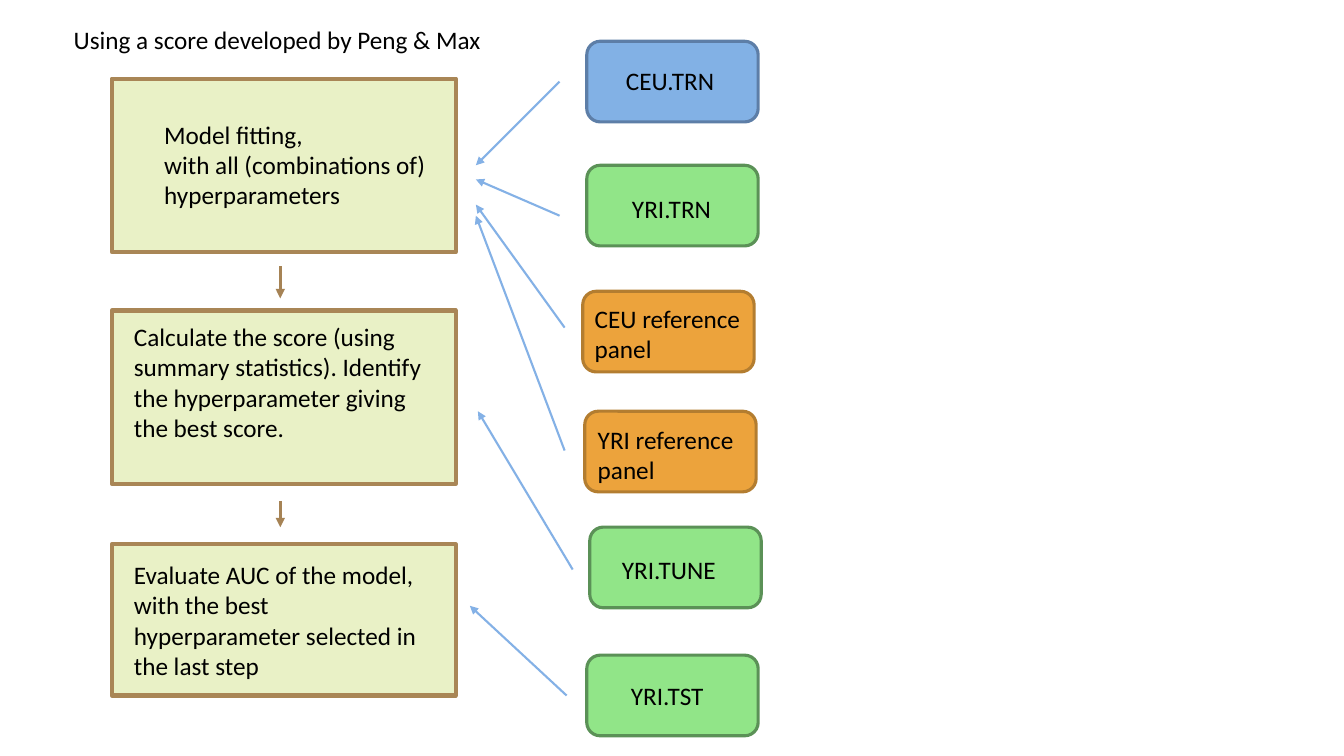
from lxml import etree
from pptx import Presentation, util as u
from pptx.dml.color import RGBColor
from pptx.enum import shapes, text
from pptx.oxml.ns import qn

COLORS = {
    "text": "000000",
    "step": "E0ECAE", "step_line": "A98656",
    "ceu": "307DD5", "ceu_line": "5D7EA7",
    "yri": "48D539", "yri_line": "5B9157",
    "panel": "ECA33C", "panel_line": "B37D30",
    "step_arrow": "A68355", "data_arrow": "84B1E6",
}
OPACITY = {"step": 70, "ceu": 60, "yri": 60, "panel": 100}
STEP_LEFT, STEP_WIDTH = 1.11, 3.41
DATA_WIDTH, DATA_HEIGHT = 1.7, 0.8

# Top, height, label offset and size, paragraphs
STEPS = [
    (0.78, 1.72, (0.42, 0.35, 2.84, 1.01),
     ["Model fitting,", "with all (combinations of) hyperparameters"]),
    (3.08, 1.72, (0.12, 0.06, 3.17, 1.31),
     ["Calculate the score (using summary statistics). "
      "Identify the hyperparameter giving the best score."]),
    (5.4, 1.5, (0.12, 0.1, 3.14, 1.31),
     ["Evaluate AUC of the model, with the best hyperparameter "
      "selected in the last step"]),
]
# Left, top, kind, label offset and size, name
DATASETS = [
    (5.82, 0.41, "ceu", (0.29, 0.19, 1.34, 0.41), "CEU.TRN"),
    (5.82, 1.64, "yri", (0.35, 0.23, 1.34, 0.41), "YRI.TRN"),
    (5.78, 2.89, "panel", (0.02, 0.07, 1.68, 0.71), "CEU reference panel"),
    (5.8, 4.08, "panel", (0.03, 0.08, 1.68, 0.71), "YRI reference panel"),
    (5.85, 5.23, "yri", (0.22, 0.22, 1.34, 0.41), "YRI.TUNE"),
    (5.82, 6.5, "yri", (0.34, 0.2, 1.34, 0.41), "YRI.TST"),
]
STEP_ARROWS = [((2.78, 2.64), (2.78, 2.96)), ((2.78, 4.97), (2.78, 5.23))]
DATA_ARROWS = [
    ((5.55, 0.81), (4.72, 1.64)),
    ((5.55, 2.14), (4.72, 1.78)),
    ((5.6, 3.25), (4.72, 2.03)),
    ((5.6, 4.47), (4.72, 2.14)),
    ((5.68, 5.65), (4.74, 4.08)),
    ((5.62, 6.9), (4.66, 6.01)),
]


def rgb(name):
    return RGBColor.from_string(COLORS[name])


def inches(values):
    return [u.Inches(value) for value in values]


def write_text(shape, lines):
    frame = shape.text_frame
    frame.word_wrap = True
    frame.auto_size = text.MSO_AUTO_SIZE.NONE
    frame.vertical_anchor = text.MSO_ANCHOR.TOP
    frame.text = "\n".join(lines)
    for paragraph in frame.paragraphs:
        paragraph.alignment = text.PP_ALIGN.LEFT
        paragraph.font.name = "Calibri"
        paragraph.font.size = u.Pt(18)
        paragraph.font.color.rgb = rgb("text")


def add_labelled_box(slide, box, preset, kind, line_width, label, lines):
    """Group a filled box with a label placed relative to its corner."""
    group = slide.shapes.add_group_shape()
    shape = group.shapes.add_shape(preset, *inches(box))
    shape.shadow.inherit = False
    shape.fill.solid()
    shape.fill.fore_color.rgb = rgb(kind)
    if OPACITY[kind] < 100:
        color = shape.fill._xPr.find(qn("a:solidFill"))[0]
        etree.SubElement(color, qn("a:alpha"), val=str(OPACITY[kind] * 1000))
    shape.line.color.rgb = rgb(kind + "_line")
    shape.line.width = u.Pt(line_width)
    left, top, width, height = label
    write_text(group.shapes.add_textbox(
        *inches((box[0] + left, box[1] + top, width, height))), lines)


def add_arrow(slide, start, end, color, width):
    arrow = slide.shapes.add_connector(
        shapes.MSO_CONNECTOR.STRAIGHT, *inches(start + end))
    arrow.line.color.rgb = rgb(color)
    arrow.line.width = u.Pt(width)
    etree.SubElement(arrow.line._get_or_add_ln(), qn("a:tailEnd"), type="triangle")
    etree.SubElement(arrow._element.spPr, qn("a:effectLst"))


def add_heading(slide, box):
    title = slide.shapes.title
    title.left, title.top, title.width, title.height = inches(box)
    write_text(title, ["Using a score developed by Peng & Max"])


def add_steps(slide, left, width):
    for top, height, label, lines in STEPS:
        add_labelled_box(slide, (left, top, width, height),
                         shapes.MSO_SHAPE.RECTANGLE, "step", 3, label, lines)
    for start, end in STEP_ARROWS:
        add_arrow(slide, start, end, "step_arrow", 2.25)


def add_datasets(slide, width, height):
    for left, top, kind, label, name in DATASETS:
        add_labelled_box(slide, (left, top, width, height),
                         shapes.MSO_SHAPE.ROUNDED_RECTANGLE, kind, 2.25,
                         label, [name])
    for start, end in DATA_ARROWS:
        add_arrow(slide, start, end, "data_arrow", 1.5)


def main():
    presentation = Presentation()
    presentation.slide_width = u.Inches(13.33)
    presentation.slide_height = u.Inches(7.5)
    slide = presentation.slides.add_slide(presentation.slide_layouts[5])
    add_heading(slide, (0.63, 0.19, 4.64, 0.4))
    add_steps(slide, STEP_LEFT, STEP_WIDTH)
    add_datasets(slide, DATA_WIDTH, DATA_HEIGHT)
    presentation.save("out.pptx")


if __name__ == "__main__":
    main()
